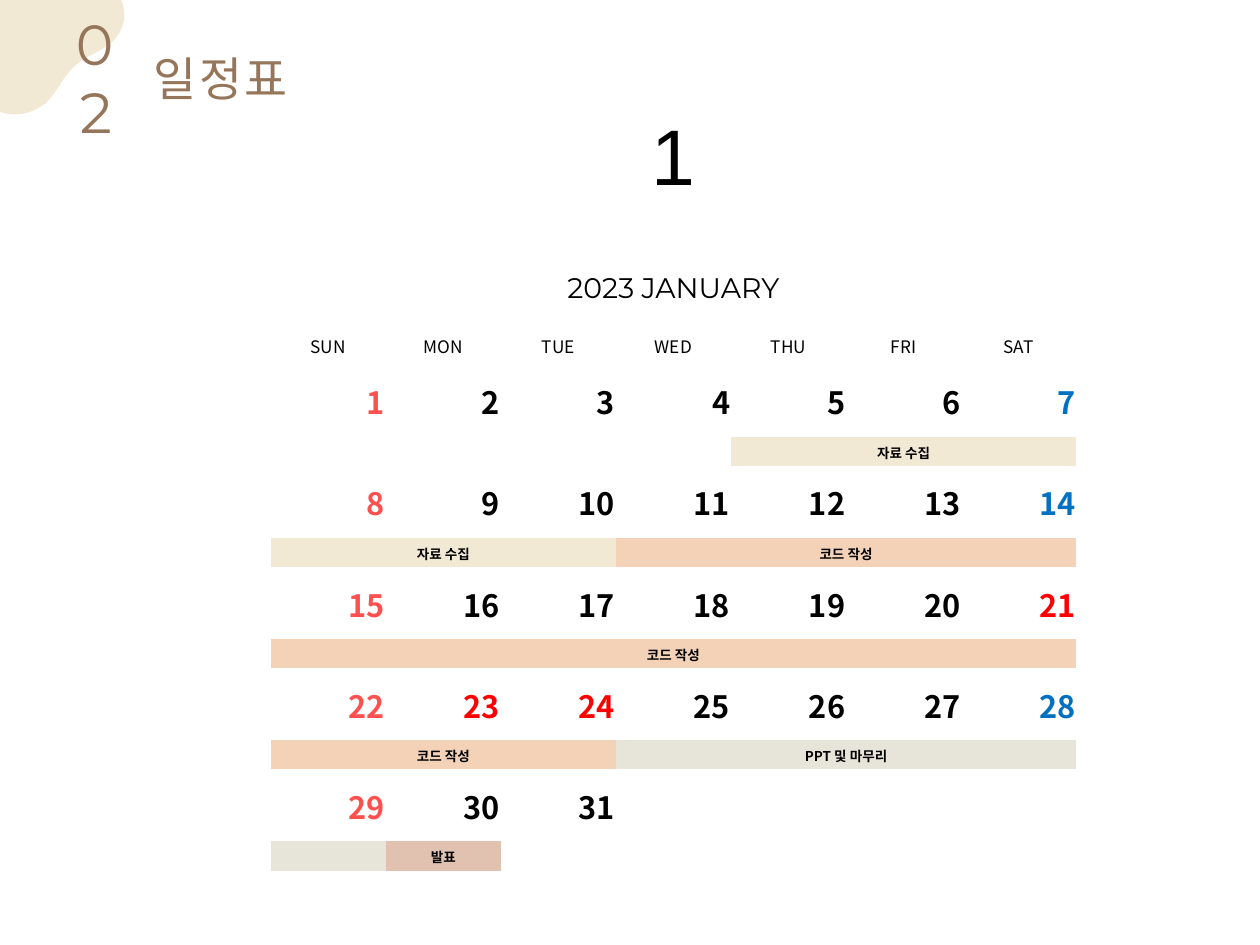
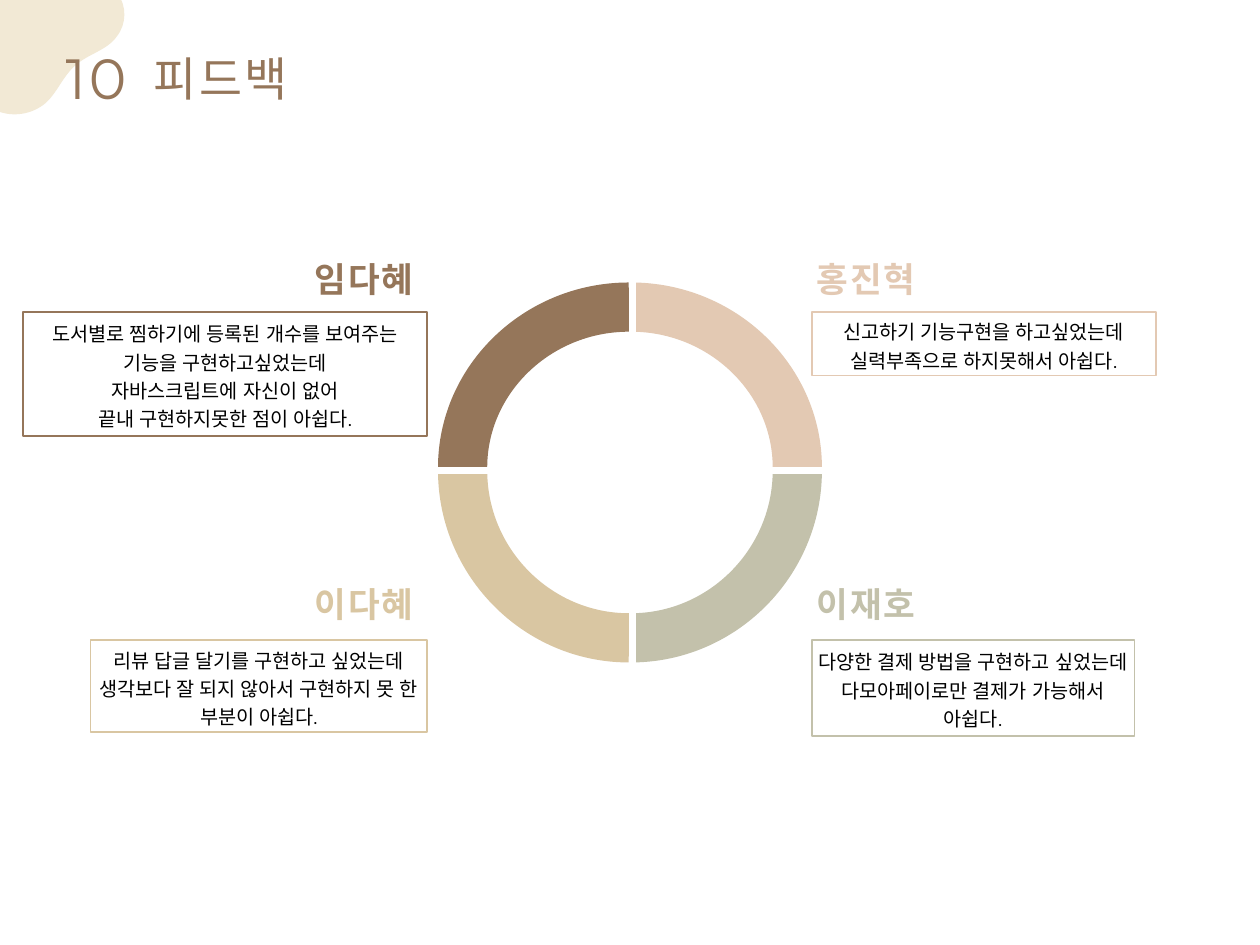
from lxml.etree import SubElement
from pptx import Presentation
from pptx.dml.color import RGBColor
from pptx.enum.shapes import MSO_CONNECTOR, MSO_SHAPE
from pptx.enum.text import MSO_ANCHOR, MSO_AUTO_SIZE, PP_ALIGN
from pptx.oxml.ns import qn
from pptx.util import Inches, Pt

COLS, ROWS = 128, 96
BROWN, SAND, PINK, SAGE = "95765A", "D9C6A2", "E3C9B3", "C3C1AB"
CREAM, PEACH, STONE, ROSE = "F2E9D5", "F4D2B8", "E7E5DA", "E1C2B0"
BLACK, WHITE = "000000", "FFFFFF"
SUNDAY, SATURDAY, HOLIDAY = "FF5050", "0070C0", "FF0000"
HEAD, SANS = "Montserrat", "Noto Sans CJK KR"
LEFT, MID, RIGHT = PP_ALIGN.LEFT, PP_ALIGN.CENTER, PP_ALIGN.RIGHT
PLAIN = "{2D5ABB26-0587-4C30-8999-92F81FD0307C}"


def grid(n):
    """Turn grid units, nine to the inch, into a length."""
    return Inches(n / 9)


def color(code):
    return RGBColor.from_string(code)


class Deck:
    def __init__(self):
        self.file = Presentation()
        self.file.slide_width, self.file.slide_height = grid(COLS), grid(ROWS)

    def page(self, number, title):
        """Start a slide with the corner blob, number and title."""
        self.slide = self.file.slides.add_slide(self.file.slide_layouts[6])
        self.shapes = self.slide.shapes
        blob = self.free([
            [(-0.36, 11.25)], [(-0.45, -0.54)], [(11.97, -0.63)],
            [(12.87, 0.63), (12.87, 2.43), (11.88, 3.69)],
            [(10.89, 5.13), (8.91, 5.49), (7.65, 6.66)],
            [(6.39, 7.74), (5.85, 9.36), (4.68, 10.44)],
            [(3.33, 11.61), (1.35, 11.97), (-0.36, 11.25)]],
            size=(13.05, 12.24))
        blob.fill.solid()
        blob.fill.fore_color.rgb = color(CREAM)
        blob.line.fill.background()
        self.label((5.75, 3.88, 8, 7.9), number, 46, BROWN, MID, gap=2.3)
        self.label((15.1, 4.5, 15.6, 6.75), title, 38, BROWN, gap=1.9)

    def style(self, frame, text, size, ink, align, face=HEAD, bold=False,
              gap=0, lead=None):
        frame.text = text
        for para in frame.paragraphs:
            para.alignment = align
            if lead:
                para.line_spacing = lead
            for run in para.runs:
                font = run.font
                font.name, font.size, font.bold = face, Pt(size), bold
                font.color.rgb = color(ink)
                mark = run._r.get_or_add_rPr()
                SubElement(mark, qn("a:ea")).set("typeface", face)
                if gap:
                    mark.set("spc", str(round(gap * 100)))

    def fit(self, frame):
        """Wrap, centre and pad a text frame that grows with its text."""
        frame.word_wrap = True
        frame.auto_size = MSO_AUTO_SIZE.SHAPE_TO_FIT_TEXT
        frame.vertical_anchor = MSO_ANCHOR.MIDDLE
        frame.margin_left = frame.margin_right = Inches(0.06)
        frame.margin_top = frame.margin_bottom = Inches(0.06)

    def label(self, area, text, size, ink, align=LEFT, **look):
        frame = self.shapes.add_textbox(*map(grid, area)).text_frame
        self.fit(frame)
        if align == RIGHT:
            frame.margin_right = Inches(0.16)
        self.style(frame, text, size, ink, align, **look)

    def note(self, area, text, edge):
        box = self.shapes.add_shape(MSO_SHAPE.RECTANGLE, *map(grid, area))
        box.shadow.inherit = False
        box.fill.background()
        box.line.color.rgb, box.line.width = color(edge), Pt(1.5)
        self.fit(box.text_frame)
        self.style(box.text_frame, text, 16, BLACK, MID, lead=1.2)

    def free(self, parts, size=None):
        """Draw an outline: one point makes a line, three make a curve."""
        parts = [[(grid(x), grid(y)) for x, y in part] for part in parts]
        ends = [part[-1] for part in parts]
        pen = self.shapes.build_freeform(*ends[0])
        pen.add_line_segments(ends[1:], close=ends[0] == ends[-1])
        form = pen.convert_to_shape()
        form.shadow.inherit = False
        path = next(form._element.iter(qn("a:path")))
        for step, part in zip(path.findall(qn("a:lnTo")), parts[1:]):
            if len(part) == 3:
                step.tag = qn("a:cubicBezTo")
                step.remove(step[0])
                for x, y in part:
                    point = SubElement(step, qn("a:pt"))
                    point.set("x", str(x - form.left))
                    point.set("y", str(y - form.top))
        if size:
            form.width, form.height = map(grid, size)
            path.set("w", str(form.width))
            path.set("h", str(form.height))
        return form

    def arc(self, x, y, wide, high, edge):
        """Draw a quarter ring about x, y; the signs of wide and high pick it."""
        k = 0.55
        form = self.free([[(x + wide, y)], [
            (x + wide, y + k * high), (x + k * wide, y + high),
            (x, y + high)]])
        form.fill.background()
        form.line.color.rgb, form.line.width = color(edge), Pt(40)

    def rule(self, *ends):
        line = self.shapes.add_connector(MSO_CONNECTOR.STRAIGHT,
                                         *map(grid, ends))
        line.line.color.rgb, line.line.width = color(WHITE), Pt(6)
        SubElement(line._element.spPr, qn("a:effectLst"))

    def table(self, x, y, wide, highs, count):
        """Add a bare table of equal columns."""
        table = self.shapes.add_table(
            len(highs), count, grid(x), grid(y), grid(wide * count),
            grid(sum(highs))).table
        table.first_row = table.horz_banding = False
        table._tbl.tblPr.find(qn("a:tableStyleId")).text = PLAIN
        for col in table.columns:
            col.width = grid(wide)
        for row, high in zip(table.rows, highs):
            row.height = grid(high)
        for cell in table.iter_cells():
            cell.fill.background()
            cell.vertical_anchor = MSO_ANCHOR.MIDDLE
            cell.margin_left = cell.margin_right = Inches(0.01)
            cell.margin_top, cell.margin_bottom = Inches(0.01), 0
            end = cell.text_frame.paragraphs[0]._p.get_or_add_endParaRPr()
            end.set("sz", "1100")
        return table

    def cell(self, table, row, col, text, size, ink=BLACK, align=MID,
             face=SANS, bold=False, span=1, fill=None):
        cell = table.cell(row, col)
        if span > 1:
            cell.merge(table.cell(row, col + span - 1))
        if fill:
            cell.fill.solid()
            cell.fill.fore_color.rgb = color(fill)
        if text:
            self.style(cell.text_frame, text, size, ink, align, face, bold)


def plan(deck):
    """Build the calendar slide."""
    deck.page("02", "일정표")
    days = "SUN MON TUE WED THU FRI SAT".split()
    week = len(days)
    table = deck.table(27.5, 6.85, 11.69,
                       [18.35, 8, 3.9] + [7.3, 2.97] * 5, week)
    deck.cell(table, 0, 0, "1", 64, face="Arial", span=week)
    deck.cell(table, 1, 0, "2023 JANUARY", 23, face=HEAD, span=week)
    for col, day in enumerate(days):
        deck.cell(table, 2, col, day, 14)
    inks = {0: SUNDAY, week - 1: SATURDAY}
    for date in range(1, 32):
        row, col = divmod(date - 1, week)
        ink = HOLIDAY if date in (21, 23, 24) else inks.get(col, BLACK)
        deck.cell(table, 3 + 2 * row, col, str(date), 25, ink, RIGHT,
                  bold=True)
    tasks = [
        (5, 7, "자료 수집", CREAM), (8, 10, "자료 수집", CREAM),
        (11, 14, "코드 작성", PEACH), (15, 21, "코드 작성", PEACH),
        (22, 24, "코드 작성", PEACH), (25, 28, "PPT 및 마무리", STONE),
        (29, 29, "", STONE), (30, 30, "발표", ROSE)]
    for first, last, text, fill in tasks:
        row, col = divmod(first - 1, week)
        deck.cell(table, 4 + 2 * row, col, text, 11, bold=True,
                  span=last - first + 1, fill=fill)


def review(deck):
    """Build the feedback slide."""
    deck.page("10", "피드백")
    members = [
        ("임다혜", BROWN, -1, -1, 41.05, 12.6,
         "도서별로 찜하기에 등록된 개수를 보여주는 기능을 구현하고싶었는데\n"
         "자바스크립트에 자신이 없어\n끝내 구현하지못한 점이 아쉽다."),
        ("이다혜", SAND, -1, 1, 34.2, 9.4,
         "리뷰 답글 달기를 구현하고 싶었는데 생각보다 잘 되지 않아서 "
         "구현하지 못 한 부분이 아쉽다."),
        ("홍진혁", PINK, 1, -1, 35, 6.45,
         "신고하기 기능구현을 하고싶었는데 실력부족으로 하지못해서 아쉽다."),
        ("이재호", SAGE, 1, 1, 32.8, 9.75,
         "다양한 결제 방법을 구현하고 싶었는데 다모아페이로만 결제가 "
         "가능해서 아쉽다.")]
    for name, ink, side, half, wide, high, text in members:
        low = half > 0
        deck.arc(64 + 0.1 * side, 47.8 if low else 47.5,
                 16.9 * side, 17 if low else -16.3, ink)
        align = LEFT if side > 0 else RIGHT

        def left(size):
            return 82.45 if side > 0 else 43.4 - size

        deck.label((left(12), 58.2 if low else 25.2, 12, 5.4), name, 28, ink,
                   align, bold=True, gap=1.4, lead=1.2)
        deck.note((left(wide), 65 if low else 31.7, wide, high), text, ink)
    deck.rule(44.1, 47.8, 83.9, 47.8)
    deck.rule(64.25, 28.45, 64.25, 67.5)


def main():
    deck = Deck()
    plan(deck)
    review(deck)
    deck.file.save("out.pptx")


if __name__ == "__main__":
    main()
